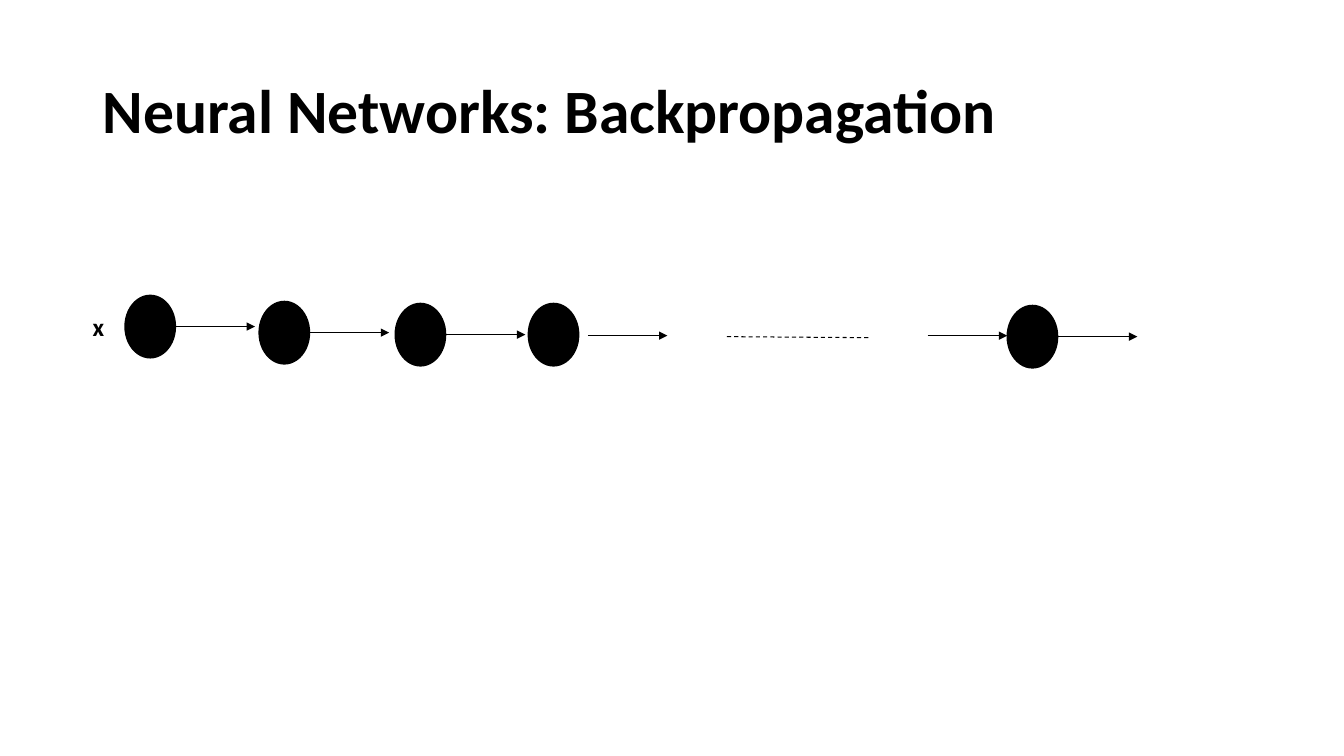
"""Build a slide showing a chain of neurons for backpropagation."""
from lxml import etree
from pptx import Presentation
from pptx import util as u
from pptx.dml.color import RGBColor
from pptx.enum import dml, shapes, text
from pptx.oxml import ns

BLACK = RGBColor(0, 0, 0)
FONT = "Calibri"
WIDE, HIGH, REACH = 0.5, 0.62, 0.79

LABELS = [
    ("Neural Networks: Backpropagation", (0.92, 0.4, 11.5, 1.45), 44, text.MSO_ANCHOR.MIDDLE, 0.9),
    ("x", (0.82, 3.04, 0.28, 0.4), 18, text.MSO_ANCHOR.TOP, 1.0),
]
NEURONS = [(1.24, 2.93), (2.57, 2.99), (3.92, 3.01), (5.24, 3.01), (9.99, 3.03)]
LINKED = [0, 1, 2, 4]
LOOSE = [(5.83, 3.33), (9.2, 3.33)]
GAP = (7.21, 3.34, 8.62, 3.35)


def add_label(slide, words, place, size, anchor, space):
    frame = slide.shapes.add_textbox(*map(u.Inches, place)).text_frame
    frame.word_wrap = True
    frame.vertical_anchor = anchor
    para = frame.paragraphs[0]
    para.line_spacing = space
    run = para.add_run()
    run.text = words
    run.font.name, run.font.size, run.font.bold = FONT, u.Pt(size), True
    run.font.color.rgb = BLACK


def add_neuron(slide, left, top):
    node = slide.shapes.add_shape(
        shapes.MSO_SHAPE.OVAL, *map(u.Inches, (left, top, WIDE, HIGH)))
    node.shadow.inherit = False
    node.fill.solid()
    node.fill.fore_color.rgb = BLACK
    node.line.color.rgb = BLACK
    node.line.width = u.Pt(1)


def add_line(slide, ends, width):
    line = slide.shapes.add_connector(
        shapes.MSO_CONNECTOR.STRAIGHT, *map(u.Inches, ends))
    line.line.color.rgb = BLACK
    line.line.width = u.Pt(width)
    etree.SubElement(line._element.spPr, ns.qn("a:effectLst"))
    return line


def add_arrow(slide, left, top):
    line = add_line(slide, (left, top, left + REACH, top), 0.5)
    etree.SubElement(line.line._get_or_add_ln(), ns.qn("a:tailEnd"), type="triangle")


def main():
    deck = Presentation()
    deck.slide_width, deck.slide_height = u.Inches(13.33), u.Inches(7.5)
    slide = deck.slides.add_slide(deck.slide_layouts[6])
    for label in LABELS:
        add_label(slide, *label)
    for left, top in NEURONS:
        add_neuron(slide, left, top)
    starts = [(NEURONS[i][0] + WIDE, NEURONS[i][1] + HIGH / 2) for i in LINKED]
    for left, top in starts + LOOSE:
        add_arrow(slide, left, top)
    add_line(slide, GAP, 0.75).line.dash_style = dml.MSO_LINE.DASH
    deck.save("out.pptx")


if __name__ == "__main__":
    main()
